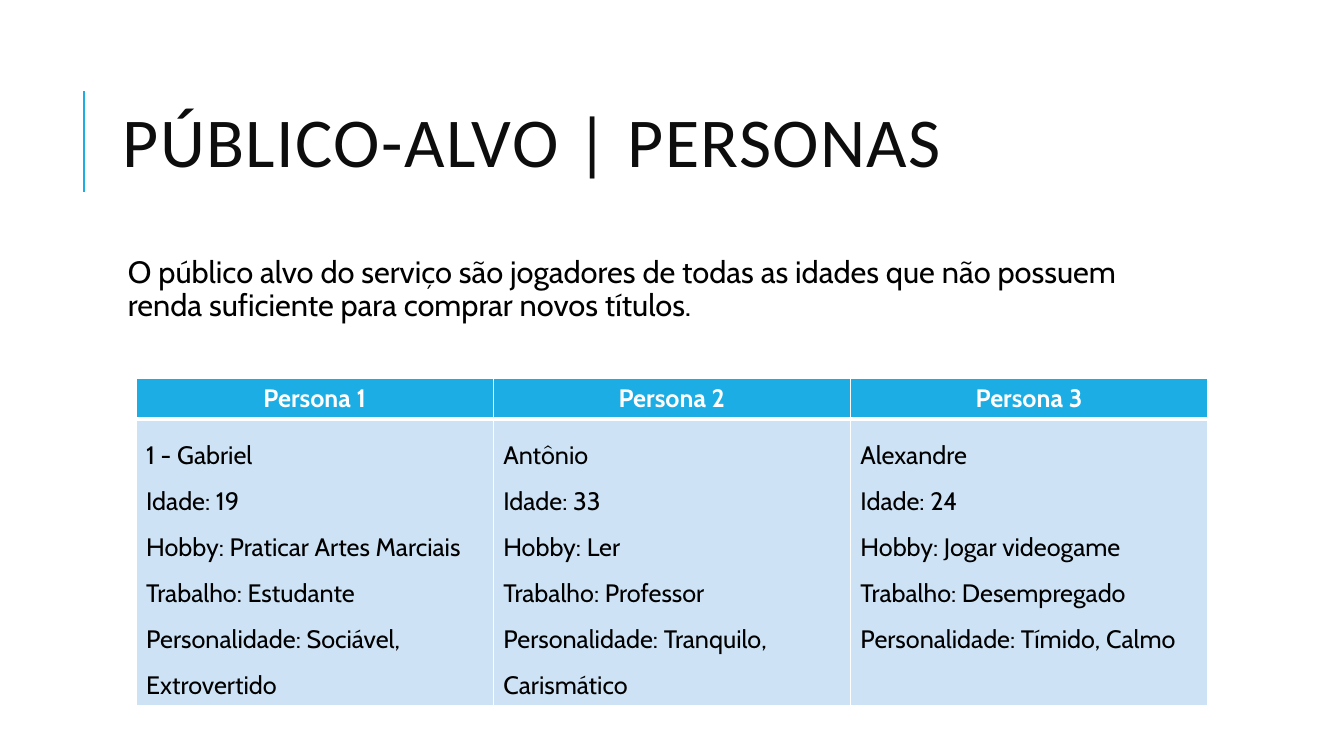
from dataclasses import dataclass
from typing import Any

from lxml import etree
from pptx import Presentation
from pptx import util as u
from pptx.dml.color import RGBColor
from pptx.enum import shapes, text
from pptx.oxml import ns

BLUE = RGBColor(0x1C, 0xAD, 0xE4)
PALE_BLUE = RGBColor(0xCD, 0xE3, 0xF5)
WHITE = RGBColor(0xFF, 0xFF, 0xFF)
BLACK = RGBColor(0, 0, 0)
INK = RGBColor(0x0D, 0x0D, 0x0D)

TITLE_FONT = {"name": "Calibri", "size": u.Pt(50), "color": INK}
BODY_FONT = {"name": "Cabin", "size": u.Pt(22), "color": BLACK}
HEADER_FONT = {"name": "Cabin", "size": u.Pt(18), "bold": True, "color": WHITE}
CELL_FONT = {"name": "Cabin", "size": u.Pt(18), "bold": False, "color": BLACK}


@dataclass
class Persona:
    heading: str
    name: str
    age: int
    hobby: str
    job: str
    personality: str

    def details(self) -> list[str]:
        return [
            self.name,
            f"Idade: {self.age}",
            f"Hobby: {self.hobby}",
            f"Trabalho: {self.job}\vPersonalidade: {self.personality}",
        ]


PERSONAS = [
    Persona("Persona 1", "1 - Gabriel", 19, "Praticar Artes Marciais",
            "Estudante", "Sociável, Extrovertido"),
    Persona("Persona 2", "Antônio", 33, "Ler",
            "Professor", "Tranquilo, Carismático"),
    Persona("Persona 3", "Alexandre", 24, "Jogar videogame",
            "Desempregado", "Tímido, Calmo"),
]


def write(tf: Any, lines: list[str], font: dict[str, Any], **paragraph: Any) -> None:
    """Fill a text frame, one paragraph per line."""
    for i, line in enumerate(lines):
        p = tf.add_paragraph() if i else tf.paragraphs[0]
        p.text = line
        for name, value in paragraph.items():
            setattr(p, name, value)
        for r in p.runs:
            for name, value in font.items():
                if name == "color":
                    r.font.color.rgb = value
                else:
                    setattr(r.font, name, value)


def add_text_box(slide: Any, left: float, top: float, width: float, height: float) -> Any:
    tf = slide.shapes.add_textbox(*map(u.Pt, (left, top, width, height))).text_frame
    tf.word_wrap = True
    return tf


def add_accent_line(slide: Any) -> None:
    sp = slide.shapes.add_connector(
        shapes.MSO_CONNECTOR.STRAIGHT, *map(u.Pt, (59.76, 136.8, 59.76, 64.8)))
    sp.line.color.rgb = BLUE
    sp.line.width = u.Pt(1.5)
    etree.SubElement(sp._element.spPr, ns.qn("a:effectLst"))


def add_title(slide: Any, title: str) -> None:
    tf = add_text_box(slide, 80.64, 46.08, 765.36, 118.08)
    tf.vertical_anchor = text.MSO_ANCHOR.MIDDLE
    write(tf, [title], TITLE_FONT, line_spacing=0.8)
    tf.paragraphs[0].runs[0]._r.get_or_add_rPr().set("spc", "100")


def add_summary(slide: Any, summary: str) -> None:
    tf = add_text_box(slide, 80.64, 180, 765.36, 60)
    for side in ("left", "top", "right", "bottom"):
        setattr(tf, f"margin_{side}", u.Pt(3.6))
    write(tf, [summary], BODY_FONT, line_spacing=0.9,
          space_before=u.Pt(12), space_after=u.Pt(2))
    tf.paragraphs[0]._p.get_or_add_pPr().set("marL", str(u.Pt(7.2)))


def style_cell(cell: Any, fill: RGBColor, top: float, bottom: float) -> None:
    """Give a cell its fill and white borders; top and bottom are widths in points."""
    tc_pr = cell._tc.get_or_add_tcPr()
    for side, width in (("L", 1), ("R", 1), ("T", top), ("B", bottom)):
        ln = etree.SubElement(tc_pr, ns.qn(f"a:ln{side}"), w=str(u.Pt(width)))
        solid = etree.SubElement(ln, ns.qn("a:solidFill"))
        etree.SubElement(solid, ns.qn("a:srgbClr"), val=str(WHITE))
    cell.fill.solid()
    cell.fill.fore_color.rgb = fill


def add_persona_table(slide: Any, personas: list[Persona]) -> None:
    table = slide.shapes.add_table(
        2, len(personas), *map(u.Pt, (97.2, 270, 765.36, 234))).table
    for row, height in zip(table.rows, (29.5, 204.5)):
        row.height = u.Pt(height)
    for column, persona in enumerate(personas):
        header, body = table.cell(0, column), table.cell(1, column)
        style_cell(header, BLUE, top=1, bottom=3)
        style_cell(body, PALE_BLUE, top=3, bottom=1)
        write(header.text_frame, [persona.heading], HEADER_FONT,
              alignment=text.PP_ALIGN.CENTER)
        write(body.text_frame, persona.details(), CELL_FONT, line_spacing=1.5)


def main() -> None:
    prs = Presentation()
    prs.slide_width, prs.slide_height = u.Pt(960), u.Pt(540)
    slide = prs.slides.add_slide(prs.slide_layouts[6])
    add_accent_line(slide)
    add_title(slide, "PÚBLICO-ALVO | PERSONAS")
    add_summary(slide, "O público alvo do serviço são jogadores de todas as idades "
                       "que não possuem renda suficiente para comprar novos títulos.")
    add_persona_table(slide, PERSONAS)
    prs.save("out.pptx")


if __name__ == "__main__":
    main()
